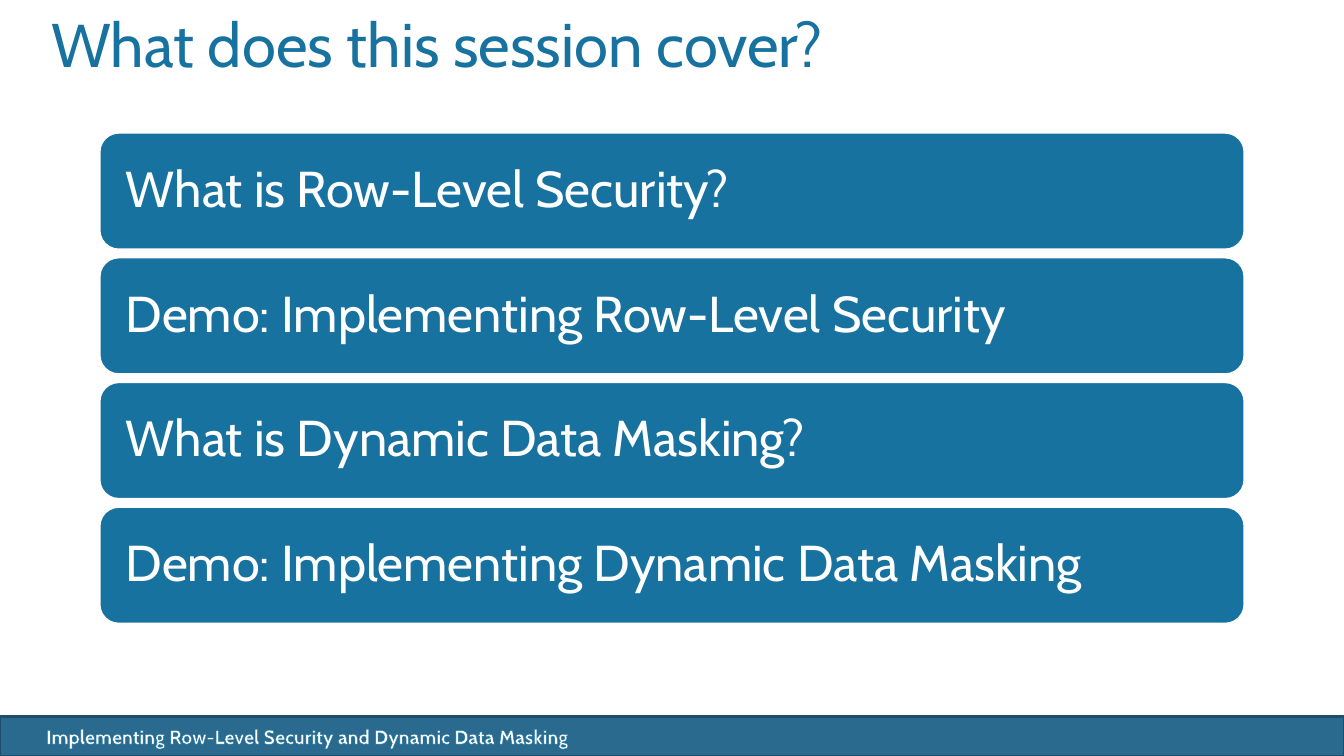
from lxml.etree import SubElement
from pptx import Presentation
from pptx.dml.color import RGBColor
from pptx.enum.shapes import MSO_SHAPE
from pptx.enum.text import MSO_ANCHOR, PP_ALIGN
from pptx.oxml.ns import qn
from pptx.util import Pt


def color(hex_code):
    return RGBColor.from_string(hex_code)


class SessionSlide:
    FONT = "Cabin"
    BLUE = "1872A0"
    WHITE = "FFFFFF"

    def __init__(self, slide):
        self.shapes = slide.shapes

    def panel(self, kind, left, top, width, height, fill, line):
        panel = self.shapes.add_shape(kind, Pt(left), Pt(top), Pt(width), Pt(height))
        panel.shadow.inherit = False
        panel.fill.solid()
        panel.fill.fore_color.rgb = color(fill)
        panel.line.color.rgb = color(line)
        panel.line.width = Pt(2)
        return panel

    def set_text(self, holder, text, size, ink, align=PP_ALIGN.LEFT, spacing=None, bold=False):
        holder.text_frame.word_wrap = True
        paragraph = holder.text_frame.paragraphs[0]
        paragraph.text = text
        paragraph.alignment = align
        paragraph.line_spacing = spacing
        paragraph.font.name = self.FONT
        paragraph.font.size = Pt(size)
        paragraph.font.bold = bold
        paragraph.font.color.rgb = color(ink)
        return paragraph

    def label(self, left, top, width, height, text, size, ink, **style):
        box = self.shapes.add_textbox(Pt(left), Pt(top), Pt(width), Pt(height))
        return self.set_text(box, text, size, ink, **style)

    def topic(self, left, top, width, height, text):
        bar = self.panel(MSO_SHAPE.ROUNDED_RECTANGLE, left, top, width, height,
                         self.BLUE, self.WHITE)
        frame = bar.text_frame
        frame.margin_left = frame.margin_right = Pt(15)
        frame.vertical_anchor = MSO_ANCHOR.MIDDLE
        self.set_text(bar, text, 36, self.WHITE, spacing=0.9)

    def outline_text(self, paragraph, hex_code, width):
        for run in paragraph.runs:
            outline = SubElement(run._r.get_or_add_rPr(), qn("a:ln"), w=str(Pt(width)))
            fill = SubElement(outline, qn("a:solidFill"))
            SubElement(fill, qn("a:srgbClr"), val=hex_code)


def main():
    deck = Presentation()
    deck.slide_width, deck.slide_height = Pt(960), Pt(540)
    page = SessionSlide(deck.slides.add_slide(deck.slide_layouts[6]))

    # Footer band
    page.panel(MSO_SHAPE.RECTANGLE, 0, 512, 960, 28.5, "296A8E", "1E4E69")
    footer = page.label(1.4, 514, 436.5, 24.5,
                        "Implementing Row-Level Security and Dynamic Data Masking",
                        14, page.WHITE, align=PP_ALIGN.CENTER, bold=True)
    page.outline_text(footer, page.BLUE, 0.8)

    # Title
    page.label(29.5, 18.7, 864, 90, "What does this session cover?",
               44, page.BLUE, spacing=Pt(35))

    # Session topics
    topics = [
        "What is Row-Level Security?",
        "Demo: Implementing Row-Level Security",
        "What is Dynamic Data Masking?",
        "Demo: Implementing Dynamic Data Masking",
    ]
    first_top, pitch = 94.5, 89.1
    for row, text in enumerate(topics):
        page.topic(70.8, first_top + row * pitch, 818.4, 84, text)

    deck.save("out.pptx")


if __name__ == "__main__":
    main()
